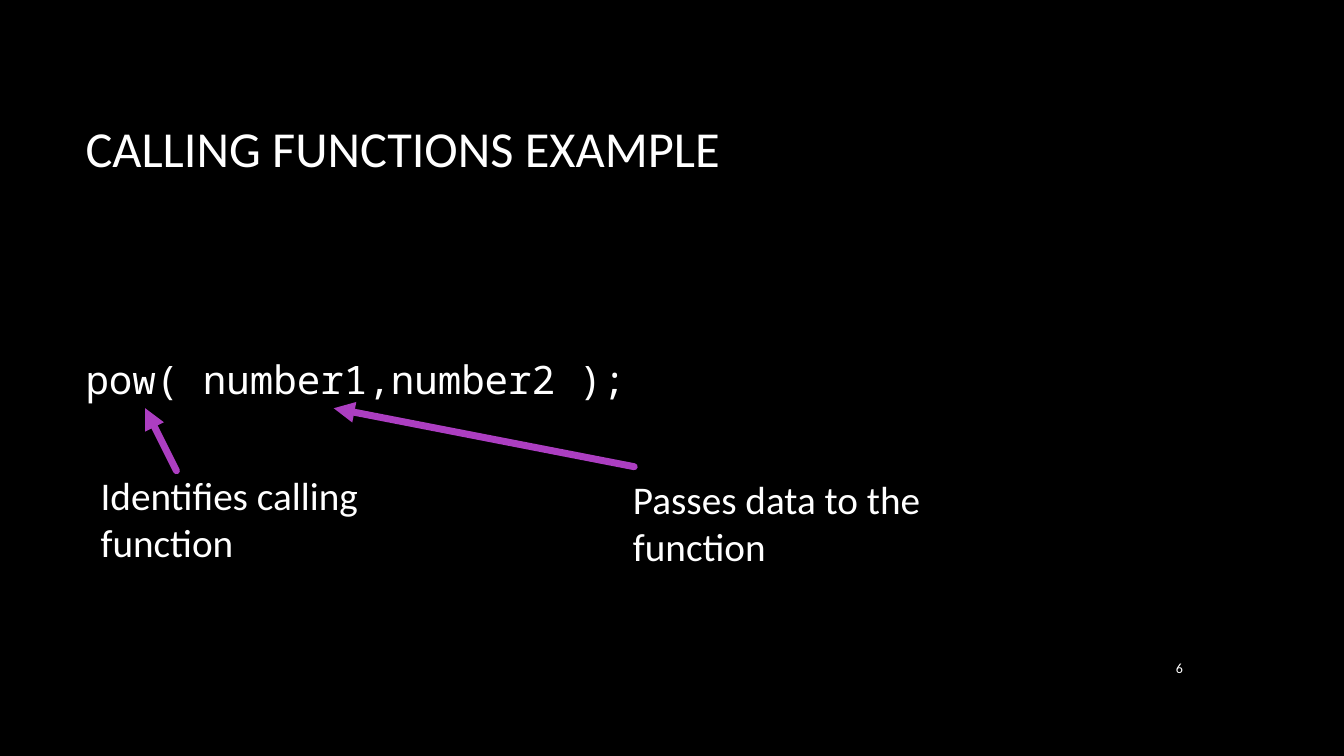
from lxml.etree import SubElement
from pptx import Presentation
from pptx.dml.color import RGBColor
from pptx.enum.shapes import MSO_CONNECTOR
from pptx.enum.text import MSO_ANCHOR, PP_ALIGN
from pptx.oxml.ns import qn
from pptx.util import Inches, Pt

COLORS = {"background": "000000", "text": "FFFFFF", "arrow": "AC3EC1"}


class SlideBuilder:
    """Holds the style and the current slide."""

    body_font = "Calibri"
    code_font = "Noto Sans Mono"

    def __init__(self, presentation):
        self.slide = presentation.slides.add_slide(presentation.slide_layouts[6])
        fill = self.slide.background.fill
        fill.solid()
        fill.fore_color.rgb = RGBColor.from_string(COLORS["background"])

    def text(self, words, left, top, width, height, size=28, font=body_font,
             anchor=MSO_ANCHOR.TOP, align=PP_ALIGN.LEFT, wrap=True):
        shape = self.slide.shapes.add_textbox(
            Inches(left), Inches(top), Inches(width), Inches(height))
        frame = shape.text_frame
        frame.text = words
        frame.word_wrap = wrap
        frame.vertical_anchor = anchor
        paragraph = frame.paragraphs[0]
        paragraph.alignment = align
        style = paragraph.runs[0].font
        style.name = font
        style.size = Pt(size)
        style.color.rgb = RGBColor.from_string(COLORS["text"])

    def arrow(self, start, end):
        connector = self.slide.shapes.add_connector(
            MSO_CONNECTOR.STRAIGHT, *map(Inches, start + end))
        connector.line.width = Pt(5)
        connector.line.color.rgb = RGBColor.from_string(COLORS["arrow"])
        properties = connector.element.spPr
        line = properties.find(qn("a:ln"))
        line.set("cap", "rnd")
        SubElement(line, qn("a:round"))
        SubElement(line, qn("a:tailEnd"), type="triangle")
        SubElement(properties, qn("a:effectLst"))


def main():
    presentation = Presentation()
    presentation.slide_width = Inches(13.33)
    presentation.slide_height = Inches(7.5)
    builder = SlideBuilder(presentation)

    # Title and slide number
    builder.text("CALLING FUNCTIONS EXAMPLE", 0.75, 0.67, 11.08, 1.59,
                 size=36, anchor=MSO_ANCHOR.MIDDLE)
    builder.text("6", 11.23, 6.42, 0.6, 0.41, size=10,
                 anchor=MSO_ANCHOR.MIDDLE, align=PP_ALIGN.RIGHT)

    # Function call
    builder.text("pow( number1,number2 );", 0.75, 3.48, 5.6, 0.57,
                 font=builder.code_font, wrap=False)

    # Explanations, each with an arrow to its part of the call
    for words, left, top, start, end in (
        ("Identifies calling function", 0.9, 4.63, (1.75, 4.67), (1.44, 4.05)),
        ("Passes data to the function", 6.18, 4.67, (6.29, 4.63), (3.31, 4.05)),
    ):
        builder.text(words, left, top, 3.33, 1.04)
        builder.arrow(start, end)

    presentation.save("out.pptx")


if __name__ == "__main__":
    main()
